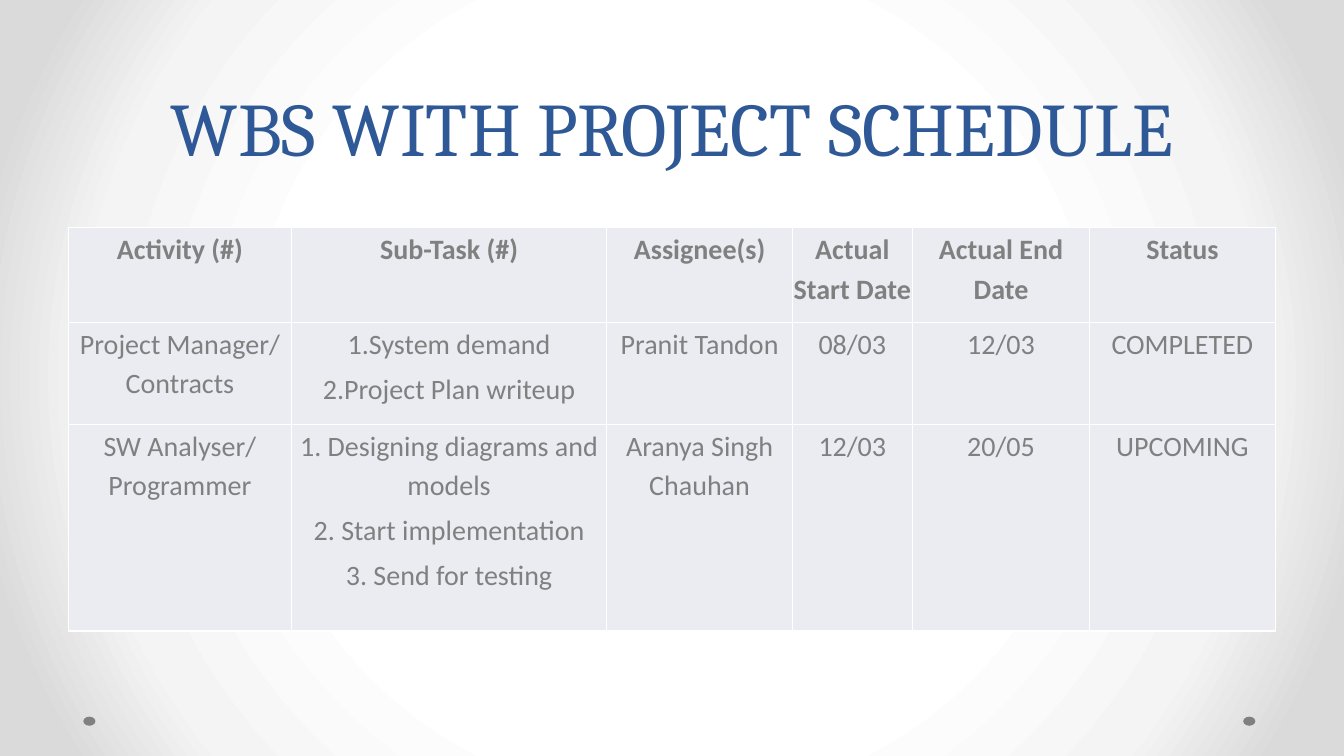
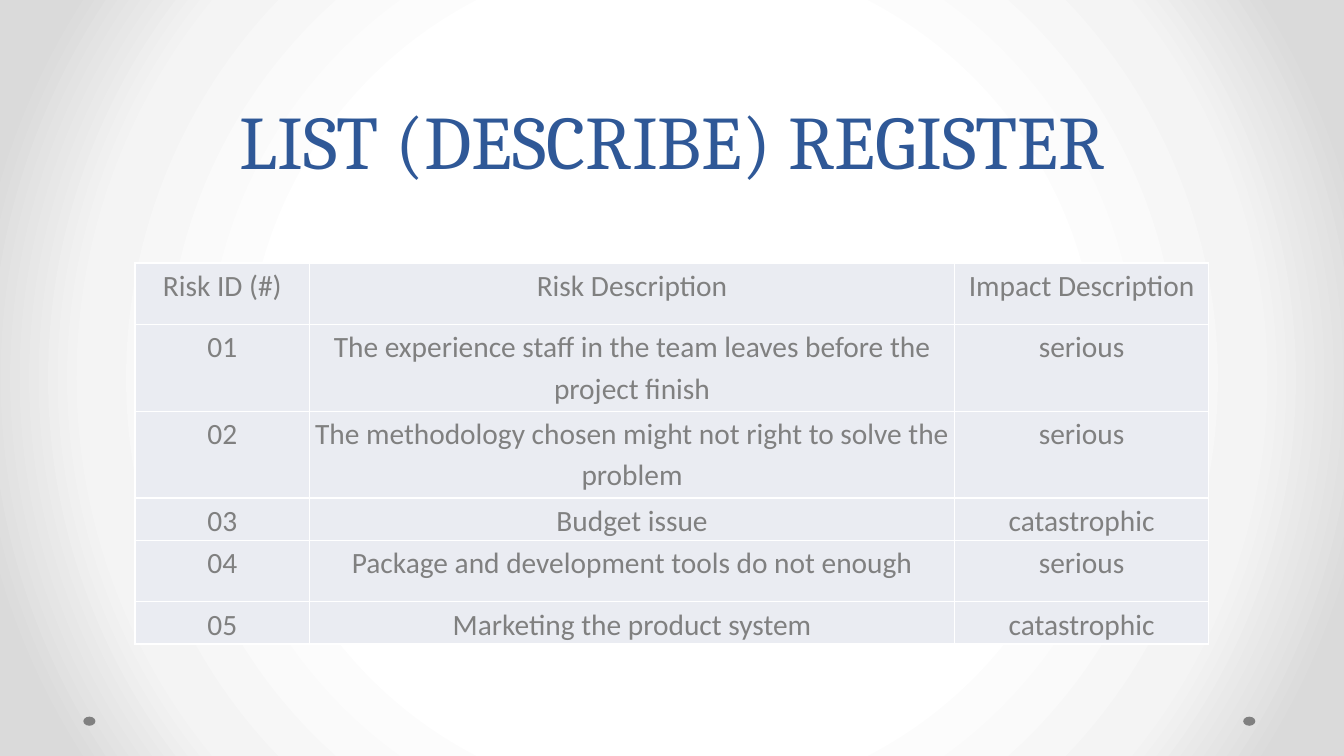
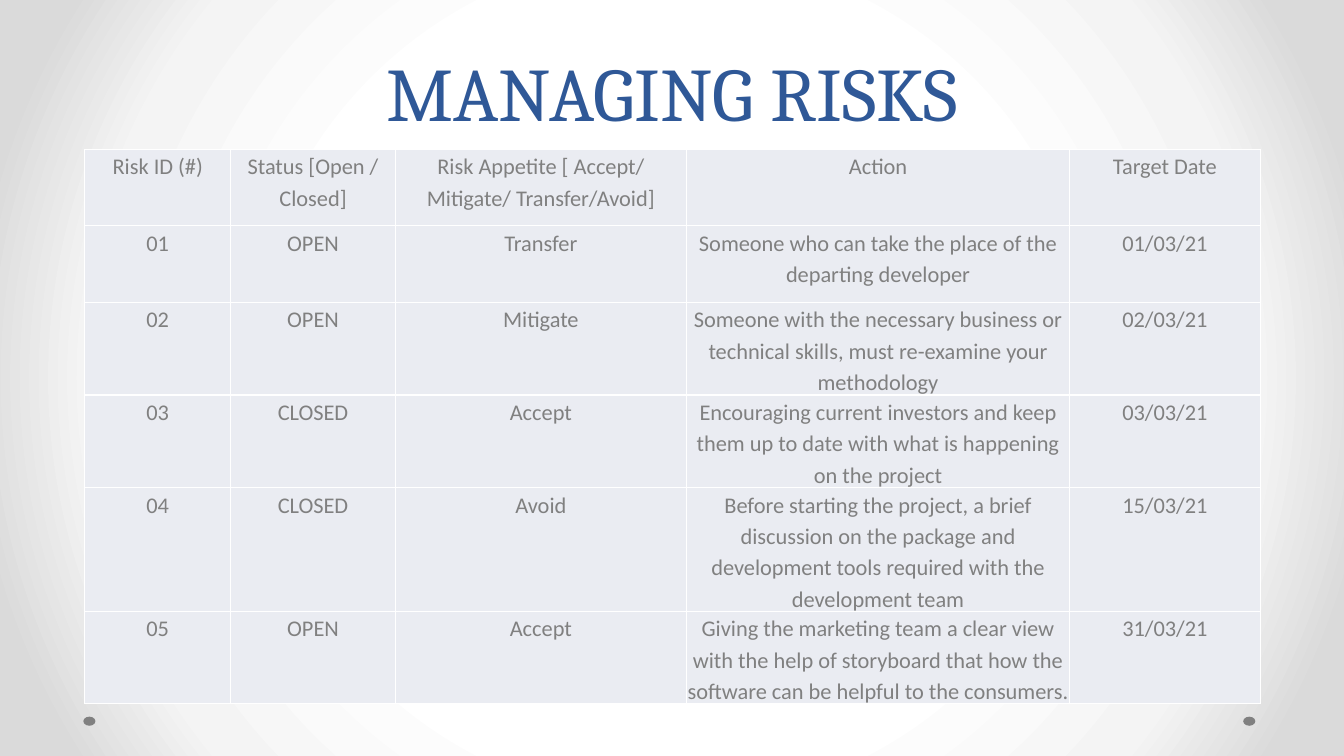
import pptx
import pptx.dml.color
import pptx.enum.shapes
import pptx.enum.text
import pptx.oxml
import pptx.oxml.ns
import pptx.util

TITLE_BLUE, GREY, CELL_FILL, WHITE = "2F5897", "808080", "EAECF2", "FFFFFF"
NAMESPACE = pptx.oxml.ns.nsdecls("a")
CENTER = pptx.enum.text.PP_ALIGN.CENTER

deck = pptx.Presentation()
deck.slide_width = pptx.util.Inches(13.33)
deck.slide_height = pptx.util.Inches(7.5)


def place(left, top, width, height):
    """Turn percentages of the slide's width and height into lengths."""
    across, down = deck.slide_width / 100, deck.slide_height / 100
    return round(left * across), round(top * down), round(width * across), round(height * down)


def add_text(para, text, font, size, color, bold=False):
    para.alignment = CENTER
    span = para.add_run()
    span.text = text
    span.font.name = font
    span.font.size = pptx.util.Pt(size)
    span.font.bold = bold
    span.font.color.rgb = pptx.dml.color.RGBColor.from_string(color)


# Positions, widths and heights are percentages of the slide.
pages = [
    {
        "title": "WBS WITH PROJECT SCHEDULE", "title_box": (0, 90, 23.33),
        "corner": (5.1, 30.13), "size": 20, "bold_header": True,
        "columns": [16.58, 23.48, 13.8, 8.93, 13.2, 13.8],
        "rows": [12.53, 13.47, 27.33],
        "cells": [
            ["Activity (#)", "Sub-Task (#)", "Assignee(s)", "Actual Start Date",
             "Actual End Date", "Status"],
            ["Project Manager/ Contracts", "1.System demand\n2.Project Plan writeup",
             "Pranit Tandon", "08/03", "12/03", "COMPLETED"],
            ["SW Analyser/ Programmer",
             "1. Designing diagrams and models\n2. Start implementation\n3. Send for testing",
             "Aranya Singh Chauhan", "12/03", "20/05", "UPCOMING"],
        ],
    },
    {
        "title": "LIST (DESCRIBE) REGISTER", "title_box": (11.2, 90, 13.87),
        "corner": (10.05, 34.8), "size": 21, "bold_header": False,
        "columns": [12.98, 48, 18.9],
        "rows": [8.13, 11.47, 11.47, 5.6, 8.13, 5.6],
        "cells": [
            ["Risk ID (#)", "Risk Description", "Impact Description"],
            ["01", "The experience staff in the team leaves before the project finish", "serious"],
            ["02", "The methodology chosen might not right to solve the problem", "serious"],
            ["03", "Budget issue", "catastrophic"],
            ["04", "Package and development tools do not enough", "serious"],
            ["05", "Marketing the product system", "catastrophic"],
        ],
    },
    {
        "title": "MANAGING RISKS", "title_box": (5.47, 82.5, 13.2),
        "corner": (6.3, 19.73), "size": 16, "bold_header": False,
        "columns": [10.88, 12.23, 21.68, 28.5, 14.18],
        "rows": [10.13, 10.13, 10.67, 10.13, 14, 12],
        "cells": [
            ["Risk ID (#)", "Status [Open / Closed]",
             "Risk Appetite [ Accept/ Mitigate/ Transfer/Avoid]", "Action", "Target Date"],
            ["01", "OPEN", "Transfer",
             "Someone who can take the place of the departing developer", "01/03/21"],
            ["02", "OPEN", "Mitigate",
             "Someone with the necessary business or technical skills, "
             "must re-examine your methodology", "02/03/21"],
            ["03", "CLOSED", "Accept",
             "Encouraging current investors and keep them up to date "
             "with what is happening on the project", "03/03/21"],
            ["04", "CLOSED", "Avoid",
             "Before starting the project, a brief discussion on the package "
             "and development tools required with the development team", "15/03/21"],
            ["05", "OPEN", "Accept",
             "Giving the marketing team a clear view with the help of storyboard "
             "that how the software can be helpful to the consumers.", "31/03/21"],
        ],
    },
]

# The blank layout carries the shared background and the two footer dots.
blank = deck.slide_layouts[6]
for placeholder in list(blank.placeholders):
    blank.shapes._spTree.remove(placeholder._element)

blank.background.fill.gradient()
stops = "".join(
    f'<a:gs pos="{percent * 1000}"><a:srgbClr val="{color}"/></a:gs>'
    for percent, color in [(50, WHITE), (76, "F4F4F4"), (92, "DADADA")]
)
gradient = blank._element.find(".//" + pptx.oxml.ns.qn("a:gradFill"))
gradient.getparent().replace(gradient, pptx.oxml.parse_xml(
    f'<a:gradFill {NAMESPACE} rotWithShape="1"><a:gsLst>{stops}</a:gsLst><a:path path="circle">'
    '<a:fillToRect l="50000" t="50000" r="50000" b="50000"/></a:path></a:gradFill>'
))

slides = [deck.slides.add_slide(blank) for page in pages]
dots = []
for left in (6.2, 92.5):
    dot = slides[0].shapes.add_shape(
        pptx.enum.shapes.MSO_SHAPE.OVAL, *place(left, 94.8, 0.9, 1.2))
    dot.shadow.inherit = False
    dot.fill.solid()
    dot.fill.fore_color.rgb = pptx.dml.color.RGBColor.from_string(GREY)
    dot.line.fill.background()
    dots.append(dot)
for dot in dots:
    blank.shapes._spTree.append(dot._element)

for slide, page in zip(slides, pages):
    top, width, height = page["title_box"]
    box = slide.shapes.add_textbox(*place((100 - width) / 2, top, width, height))
    box.text_frame.word_wrap = True
    box.text_frame.vertical_anchor = pptx.enum.text.MSO_ANCHOR.BOTTOM
    para = box.text_frame.paragraphs[0]
    para.line_spacing = pptx.util.Pt(58)
    add_text(para, page["title"], "Cambria", 54, TITLE_BLUE)

    columns, rows = page["columns"], page["rows"]
    table = slide.shapes.add_table(
        len(rows), len(columns), *place(*page["corner"], sum(columns), sum(rows))).table
    table.first_row = table.horz_banding = False
    for column, share in zip(table.columns, columns):
        column.width = place(0, 0, share, 0)[2]
    for row, share in zip(table.rows, rows):
        row.height = place(0, 0, 0, share)[3]

    for row_number, texts in enumerate(page["cells"]):
        for column_number, text in enumerate(texts):
            cell = table.cell(row_number, column_number)
            cell.margin_left = cell.margin_right = cell.margin_top = cell.margin_bottom = 0
            for side in "LRTB":
                cell._tc.get_or_add_tcPr().append(pptx.oxml.parse_xml(
                    f'<a:ln{side} {NAMESPACE} w="12700"><a:solidFill>'
                    f'<a:srgbClr val="{WHITE}"/></a:solidFill></a:ln{side}>'))
            cell.fill.solid()
            cell.fill.fore_color.rgb = pptx.dml.color.RGBColor.from_string(CELL_FILL)
            for line_number, line in enumerate(text.split("\n")):
                frame = cell.text_frame
                para = frame.add_paragraph() if line_number else frame.paragraphs[0]
                para.line_spacing = 1.15
                para.space_before = para.space_after = pptx.util.Pt(2)
                add_text(para, line, "Calibri", page["size"], GREY,
                         page["bold_header"] and row_number == 0)

deck.save("out.pptx")
